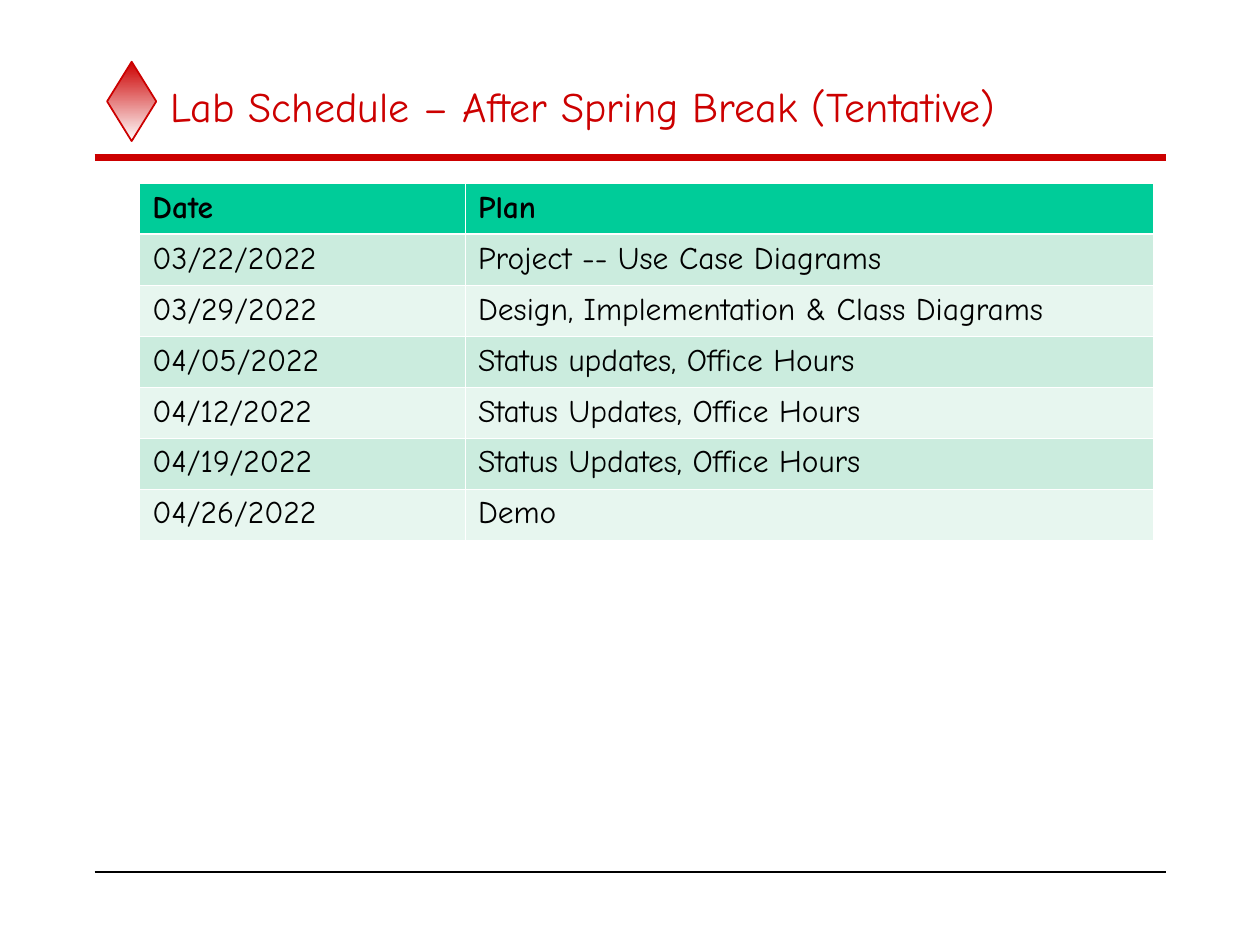
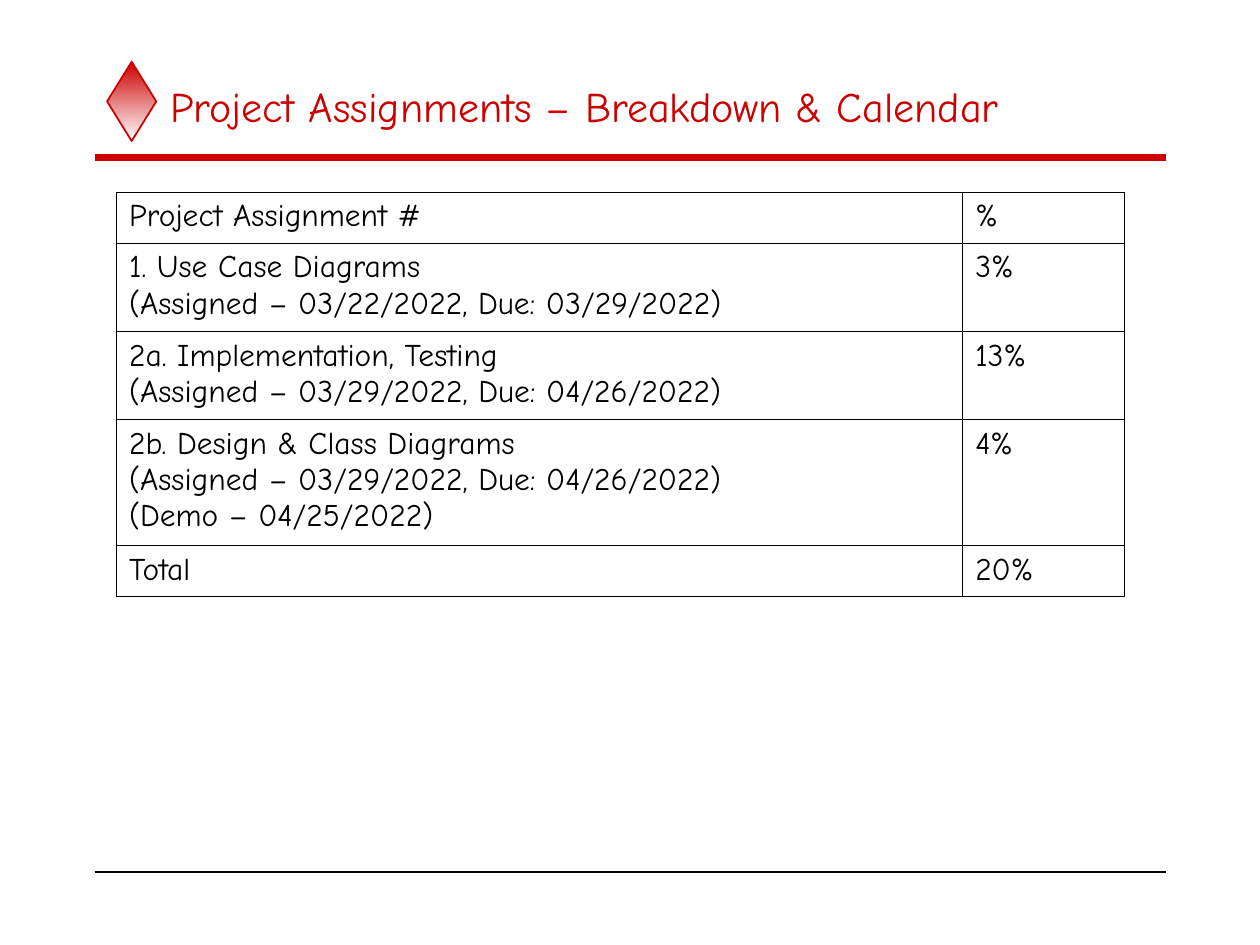
from lxml import etree
from pptx import Presentation
from pptx import util as u
from pptx.dml.color import RGBColor
from pptx.enum import shapes, text
from pptx.oxml import ns

COLORS = {"red": "CC0000", "black": "000000", "white": "FFFFFF",
          "header": "00CC99", "band": "CBECDE", "pale": "E7F6EF"}
FONT = "Comic Neue"
COLUMNS, ROWS = 100, 75  # grid over the whole slide
TITLE_ONLY = 5
HAIRLINE, HEADER_RULE = 0.45, 1.5


def rgb(name):
    return RGBColor.from_string(COLORS[name])


class Deck:
    """Holds the shared style and the current slide."""

    def __init__(self):
        self.presentation = Presentation()
        self.presentation.slide_width = u.Inches(10)
        self.presentation.slide_height = u.Inches(7.5)
        self.slide = None

    def x(self, columns):
        return round(self.presentation.slide_width * columns / COLUMNS)

    def y(self, rows):
        return round(self.presentation.slide_height * rows / ROWS)

    def box(self, left, top, width, height):
        return self.x(left), self.y(top), self.x(width), self.y(height)

    def new_slide(self, title):
        layout = self.presentation.slide_layouts[TITLE_ONLY]
        self.slide = self.presentation.slides.add_slide(layout)
        self.diamond(8.5, 4.9, 3.9, 6.3)
        self.rule(12.5, "red", 4)
        self.rule(69.2, "black", 1)
        self.title(title)

    def style(self, paragraph, size, color, bold=False):
        paragraph.alignment = text.PP_ALIGN.LEFT
        font = paragraph.font
        font.name, font.size, font.bold = FONT, u.Pt(size), bold
        font.color.rgb = rgb(color)

    def title(self, wording):
        shape = self.slide.shapes.title
        shape.left, shape.top, shape.width, shape.height = self.box(12.5, 5, 80, 6.7)
        frame = shape.text_frame
        frame.text = wording
        frame.auto_size = text.MSO_AUTO_SIZE.NONE
        frame.vertical_anchor = text.MSO_ANCHOR.MIDDLE
        self.style(frame.paragraphs[0], 24, "red")

    def diamond(self, *place):
        shape = self.slide.shapes.add_shape(shapes.MSO_SHAPE.DIAMOND, *self.box(*place))
        shape.shadow.inherit = False
        shape.fill.gradient()
        shape.fill.gradient_angle = 270  # red at the top
        for stop, color in zip(shape.fill.gradient_stops, ("red", "white")):
            stop.color.rgb = rgb(color)
        shape.line.color.rgb = rgb("red")
        shape.line.width = u.Pt(1)

    def rule(self, row, color, width):
        line = self.slide.shapes.add_connector(
            shapes.MSO_CONNECTOR.STRAIGHT,
            self.x(7.5), self.y(row), self.x(92.5), self.y(row))
        line.line.color.rgb = rgb(color)
        line.line.width = u.Pt(width)
        etree.SubElement(line._element.spPr, ns.qn("a:effectLst"))

    def borders(self, cell, color, top, bottom):
        properties = cell._tc.get_or_add_tcPr()
        widths = {"L": HAIRLINE, "R": HAIRLINE, "T": top, "B": bottom}
        for side, width in widths.items():
            line = etree.SubElement(properties, ns.qn(f"a:ln{side}"), w=str(u.Pt(width)))
            fill = etree.SubElement(line, ns.qn("a:solidFill"))
            etree.SubElement(fill, ns.qn("a:srgbClr"), val=COLORS[color])

    def table(self, left, top, widths, heights, content, border, banded=False):
        place = self.box(left, top, sum(widths), sum(heights))
        table = self.slide.shapes.add_table(len(heights), len(widths), *place).table
        table.first_row = table.horz_banding = False
        for column, width in zip(table.columns, widths):
            column.width = self.x(width)
        for index, (row, height, wordings) in enumerate(zip(table.rows, heights, content)):
            row.height = self.y(height)
            above = HEADER_RULE if banded and index == 1 else HAIRLINE
            below = HEADER_RULE if banded and index == 0 else HAIRLINE
            for cell, wording in zip(row.cells, wordings):
                cell.text = wording
                for paragraph in cell.text_frame.paragraphs:
                    self.style(paragraph, 18, "black", bold=banded and index == 0)
                # Borders come before the fill in the cell properties
                self.borders(cell, border, above, below)
                if banded:
                    color = "header" if index == 0 else ("pale", "band")[index % 2]
                    cell.fill.solid()
                    cell.fill.fore_color.rgb = rgb(color)
                else:
                    cell.fill.background()


SCHEDULE = [
    ("Date", "Plan"),
    ("03/22/2022", "Project -- Use Case Diagrams"),
    ("03/29/2022", "Design, Implementation & Class Diagrams"),
    ("04/05/2022", "Status updates, Office Hours"),
    ("04/12/2022", "Status Updates, Office Hours"),
    ("04/19/2022", "Status Updates, Office Hours"),
    ("04/26/2022", "Demo"),
]

ASSIGNMENTS = [
    ("Project Assignment #", "%"),
    ("1. Use Case Diagrams\n(Assigned – 03/22/2022, Due: 03/29/2022)", "3%"),
    ("2a. Implementation, Testing\n(Assigned – 03/29/2022, Due: 04/26/2022)", "13%"),
    ("2b. Design & Class Diagrams\n(Assigned – 03/29/2022, Due: 04/26/2022)\n"
     "(Demo – 04/25/2022)", "4%"),
    ("Total", "20%"),
]


def main():
    deck = Deck()

    # Lab schedule
    deck.new_slide("Lab Schedule – After Spring Break (Tentative)")
    deck.table(11.1, 14.55, [25.85, 54.6], [4.05] * len(SCHEDULE), SCHEDULE,
               border="white", banded=True)

    # Project assignments
    deck.new_slide("Project Assignments – Breakdown & Calendar")
    deck.table(9.25, 15.25, [67.15, 12.85], [4.05, 7, 7, 10, 4.05], ASSIGNMENTS,
               border="black")

    deck.presentation.save("out.pptx")


if __name__ == "__main__":
    main()
